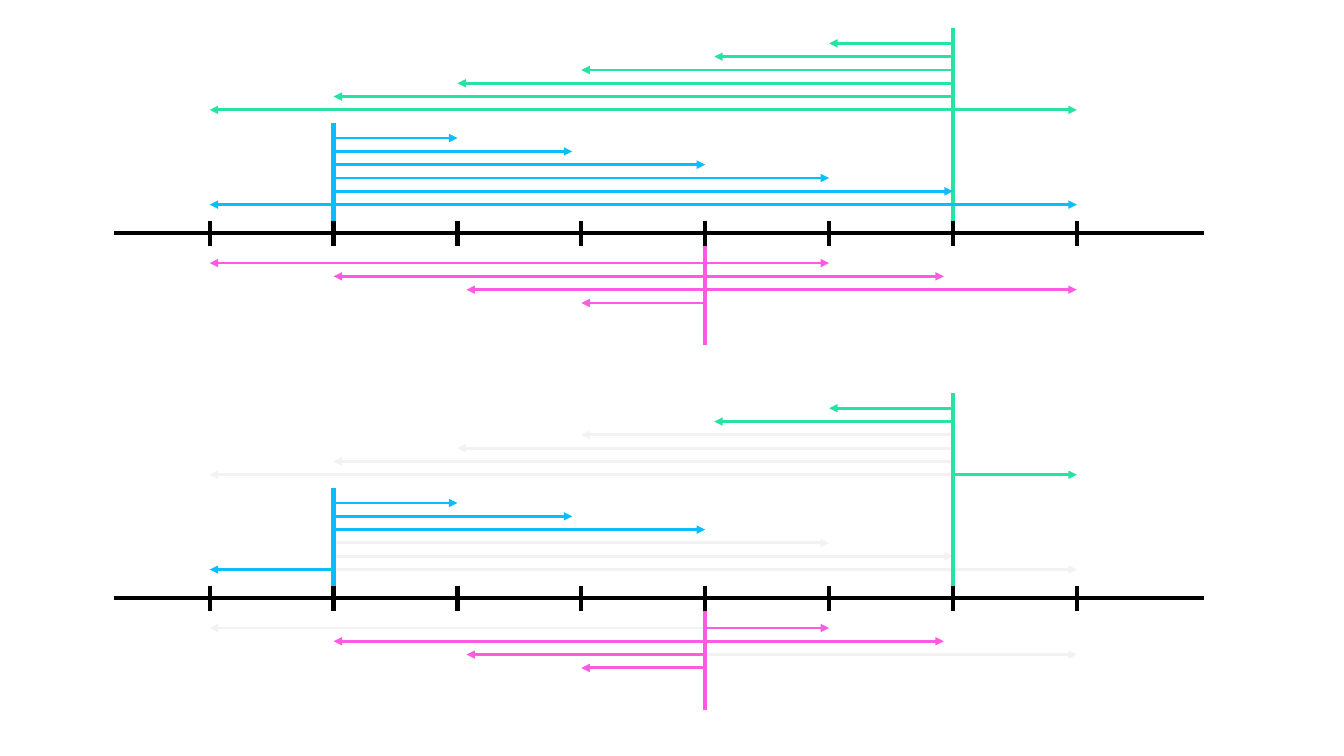
from lxml import etree
from pptx import Presentation
from pptx.dml.color import RGBColor
from pptx.enum import shapes
from pptx.oxml import ns
from pptx.util import Inches, Pt

FADED = "F2F2F2"
BLACK = "000000"


def rgb(value):
    """Return the colour for a hex string."""
    return RGBColor.from_string(value)


def add_line(group, x1, y1, x2, y2, colour, width, arrow=False):
    """Draw a straight line, with an arrowhead at its end if asked."""
    line = group.shapes.add_connector(
        shapes.MSO_CONNECTOR.STRAIGHT,
        Inches(x1), Inches(y1), Inches(x2), Inches(y2))
    line.line.color.rgb = rgb(colour)
    line.line.width = Pt(width)
    if arrow:
        etree.SubElement(line.line._get_or_add_ln(), ns.qn("a:tailEnd"), type="triangle")
    etree.SubElement(line._element.spPr, ns.qn("a:effectLst"))


prs = Presentation()
prs.slide_width, prs.slide_height = Inches(13.33), Inches(7.5)
s = prs.slides.add_slide(prs.slide_layouts[6])

# Eight evenly spaced ticks
first_tick, last_tick = 2.08, 10.68
ticks = [first_tick + i * (last_tick - first_tick) / 7 for i in range(8)]
row_gap = 0.132
nudge = 0.09

# Heights are relative to the axis.
# Each arrow: row, tip, whether it stays coloured in the lower diagram
stems = {
    "green": {
        "colour": "26E2A3", "x": ticks[6], "ends": (-2.03, 0.13), "first_row": -1.88,
        "arrows": [
            (0, ticks[5], True), (1, ticks[4] + nudge, True),
            (2, ticks[3], False), (3, ticks[2], False), (4, ticks[1], False),
            (5, ticks[0], False), (5, ticks[7], True)],
    },
    "pink": {
        "colour": "FF5BE0", "x": ticks[4], "ends": (1.11, -0.12), "first_row": 0.3,
        "arrows": [
            (3, ticks[3], True), (2, ticks[2] + nudge, True), (1, ticks[1], True),
            (0, ticks[0], False), (0, ticks[5], True),
            (1, ticks[6] - nudge, True), (2, ticks[7], False)],
    },
    "blue": {
        "colour": "0ABEFE", "x": ticks[1], "ends": (-1.09, 0.13), "first_row": -0.94,
        "arrows": [
            (0, ticks[2], True), (1, ticks[3] - nudge, True), (2, ticks[4], True),
            (3, ticks[5], False), (4, ticks[6], False),
            (5, ticks[7], False), (5, ticks[0], True)],
    },
}

# Axis height, drawing order, whether the dropped arrows fade
diagrams = [
    (2.31, ("green", "pink", "blue"), False),
    (5.93, ("pink", "blue", "green"), True),
]

for axis_y, order, fades in diagrams:
    group = s.shapes.add_group_shape()
    for name in order:
        stem = stems[name]
        x, colour = stem["x"], stem["colour"]
        faded = [a for a in stem["arrows"] if fades and not a[2]]
        bright = [a for a in stem["arrows"] if a not in faded]
        for shade, arrows in ((FADED, faded), (colour, bright)):
            if shade == colour:
                start, end = stem["ends"]
                add_line(group, x, axis_y + start, x, axis_y + end, colour, 3)
            for row, tip, _ in arrows:
                y = axis_y + stem["first_row"] + row * row_gap
                add_line(group, x, y, tip, y, shade, 2, arrow=True)

    add_line(group, 1.13, axis_y, 11.94, axis_y, BLACK, 3)
    for tick in ticks:
        add_line(group, tick, axis_y - 0.12, tick, axis_y + 0.13, BLACK, 3)

prs.save("out.pptx")
